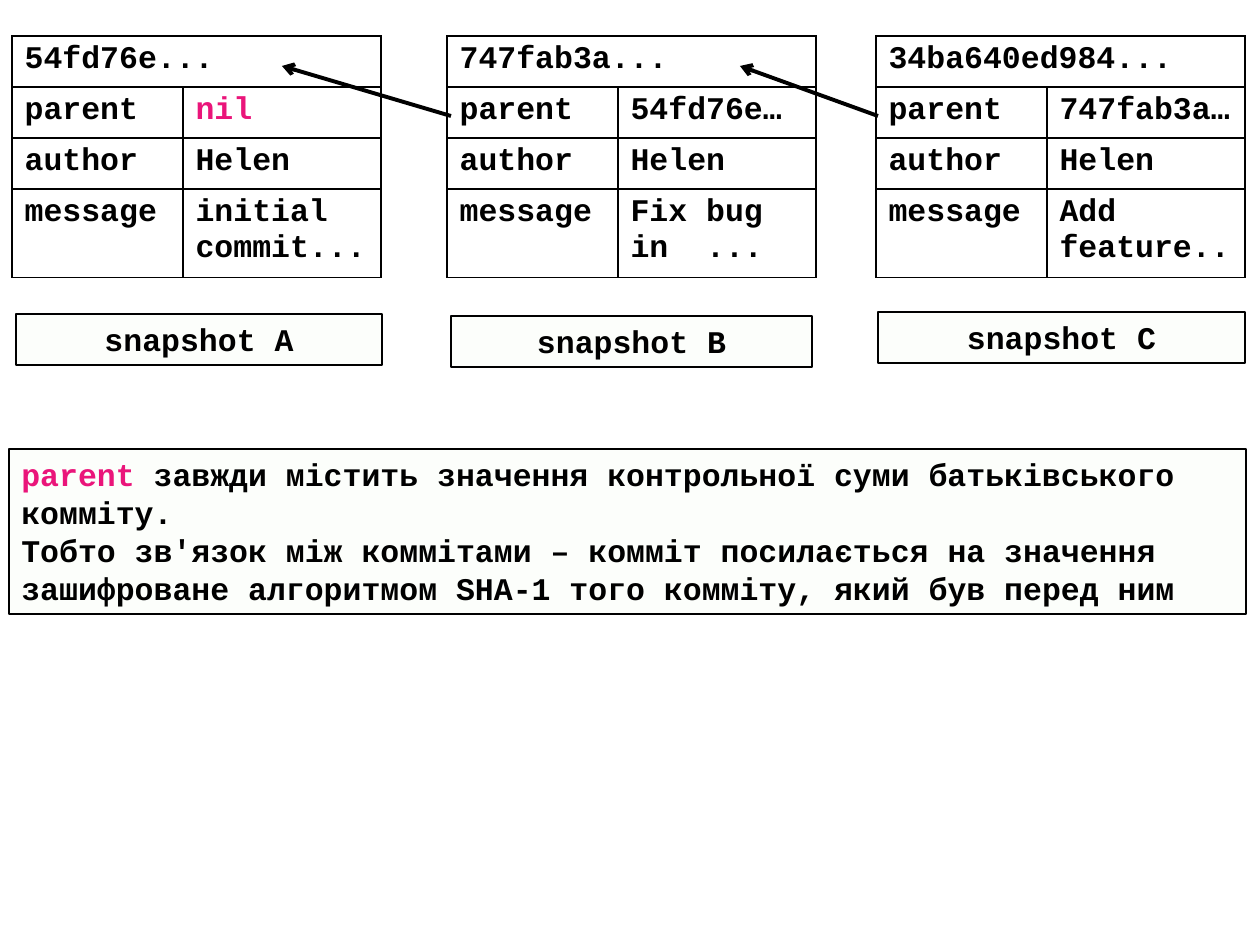
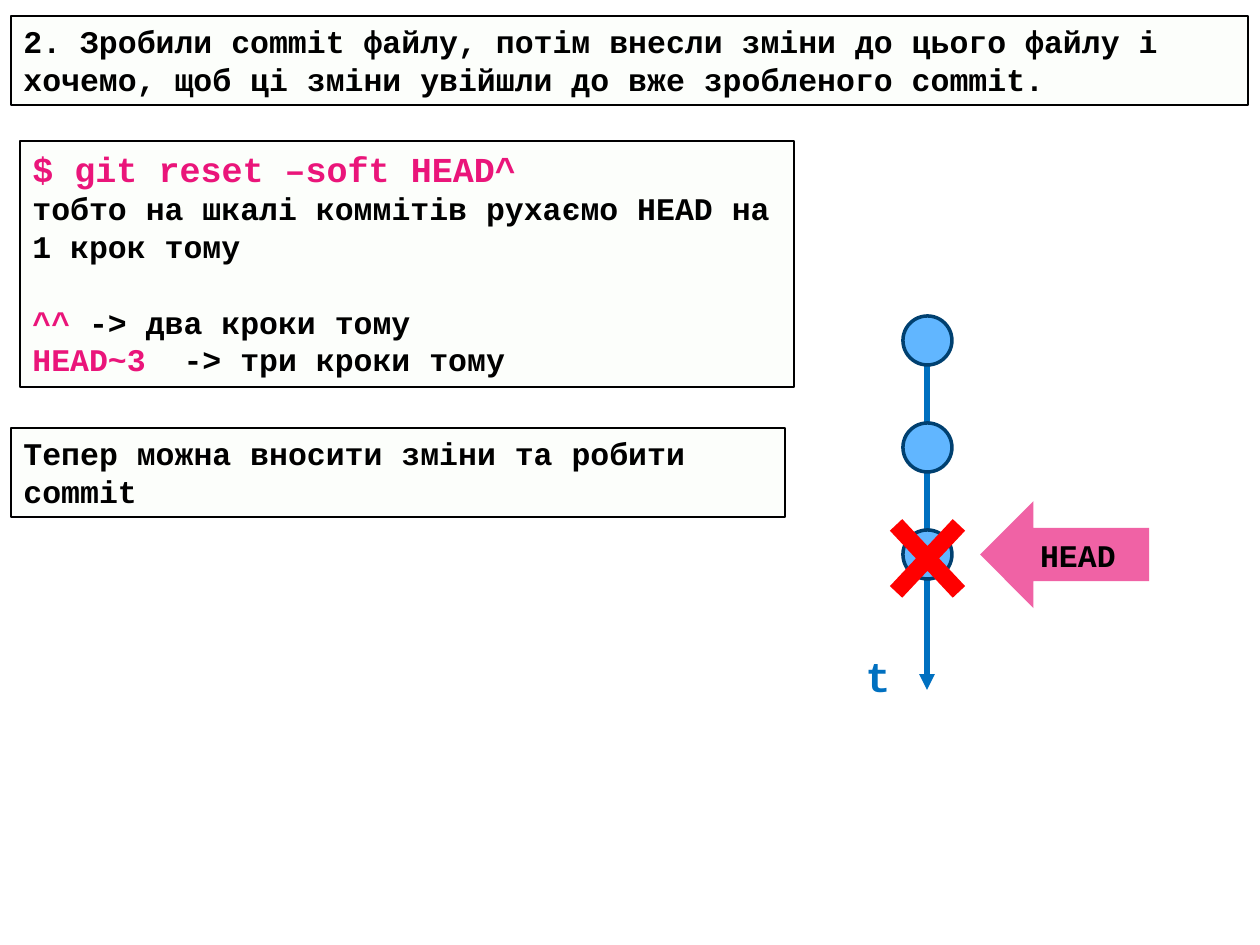
from lxml.etree import SubElement
from pptx import Presentation
from pptx.dml.color import RGBColor
from pptx.enum.shapes import MSO_CONNECTOR, MSO_SHAPE
from pptx.enum.text import MSO_ANCHOR, MSO_AUTO_SIZE, PP_ALIGN
from pptx.oxml.ns import qn
from pptx.util import Emu, Pt

PX_PER_INCH = 126
FONT = "Courier New"
BLACK, PINK, BLUE = "000000", "EA157A", "0070C0"
PANEL_TINT = "E5F6D8"
COMMIT_FILL, COMMIT_EDGE = "61B6FF", "004070"
CROSS_RED = "FF0000"
BODY_SIZE = 18

TABLE_TOP = 36
TABLE_COLUMNS = (171, 198)
TABLE_ROWS = (51, 51, 51, 88)

# table left, snapshot box (left, top, width), snapshot name, hash, parent, message
COMMITS = [
    (12, (16, 314, 366), "A", "54fd76e...", "nil", "initial commit..."),
    (447, (451, 316, 361), "B", "747fab3a...", "54fd76e…", "Fix bug in  ..."),
    (876, (878, 312, 367), "C", "34ba640ed984...", "747fab3a…", "Add feature.."),
]

TIMELINE_X = 927
COMMIT_DIAMETER = 49
COMMIT_TOP, COMMIT_STEP = 316, 107


def px(length):
    return Emu(round(length * 914400 / PX_PER_INCH))


def box_px(*lengths):
    return [px(length) for length in lengths]


def rgb(hex_color):
    return RGBColor.from_string(hex_color)


def style_run(run, color=BLACK, size=BODY_SIZE):
    run.font.name = FONT
    run.font.size = Pt(size)
    run.font.bold = True
    run.font.color.rgb = rgb(color)


def write_lines(frame, lines, align=PP_ALIGN.LEFT):
    """Write one paragraph per line; a line is a list of (text, colour, size) parts."""
    for number, parts in enumerate(lines):
        paragraph = frame.add_paragraph() if number else frame.paragraphs[0]
        paragraph.alignment = align
        for text, *look in parts:
            run = paragraph.add_run()
            run.text = text
            style_run(run, *look)


def set_fill(shape, color, opacity=100):
    shape.fill.solid()
    shape.fill.fore_color.rgb = rgb(color)
    if opacity < 100:
        color_node = shape.fill._xPr.find(qn("a:solidFill"))[0]
        SubElement(color_node, qn("a:alpha"), val=str(opacity * 1000))


def add_figure(slide, preset, box, color, opacity=100, edge=None, edge_width=1.5):
    figure = slide.shapes.add_shape(preset, *box_px(*box))
    figure.shadow.inherit = False
    set_fill(figure, color, opacity)
    if edge:
        figure.line.color.rgb = rgb(edge)
        figure.line.width = Pt(edge_width)
    else:
        figure.line.fill.background()
    return figure


def add_panel(slide, box, lines, align=PP_ALIGN.LEFT):
    panel = add_figure(slide, MSO_SHAPE.RECTANGLE, box, PANEL_TINT, 8, BLACK)
    frame = panel.text_frame
    frame.word_wrap = True
    frame.auto_size = MSO_AUTO_SIZE.SHAPE_TO_FIT_TEXT
    frame.vertical_anchor = MSO_ANCHOR.TOP
    write_lines(frame, lines, align)
    return panel


def add_line(slide, start, end, color, width, arrowhead=None):
    line = slide.shapes.add_connector(MSO_CONNECTOR.STRAIGHT, *box_px(*start, *end))
    line.line.color.rgb = rgb(color)
    line.line.width = Pt(width)
    if arrowhead:
        SubElement(line.line._get_or_add_ln(), qn("a:tailEnd"), type=arrowhead)
    SubElement(line._element.spPr, qn("a:effectLst"))


def border_cell(cell):
    properties = cell._tc.get_or_add_tcPr()
    for position, side in enumerate(("a:lnL", "a:lnR", "a:lnT", "a:lnB")):
        border = SubElement(properties, qn(side), w=str(Pt(1)))
        fill = SubElement(border, qn("a:solidFill"))
        SubElement(fill, qn("a:srgbClr"), val=BLACK)
        properties.insert(position, border)


def add_commit_table(slide, left, commit_hash, parent, message):
    rows = [(commit_hash, ""), ("parent", parent), ("author", "Helen"), ("message", message)]
    box = box_px(left, TABLE_TOP, sum(TABLE_COLUMNS), sum(TABLE_ROWS))
    table = slide.shapes.add_table(len(rows), len(TABLE_COLUMNS), *box).table
    table.first_row = table.horz_banding = False
    for column, width in zip(table.columns, TABLE_COLUMNS):
        column.width = px(width)
    for row, height, texts in zip(table.rows, TABLE_ROWS, rows):
        row.height = px(height)
        for cell, text in zip(row.cells, texts):
            cell.fill.background()
            border_cell(cell)
            if text:
                write_lines(cell.text_frame, [[(text, PINK if text == "nil" else BLACK)]])
    table.cell(0, 0).merge(table.cell(0, 1))


def build_parent_slide(slide):
    for _, (left, top, width), name, *_ in COMMITS:
        add_panel(slide, (left, top, width, 51), [[(f"snapshot {name}",)]], PP_ALIGN.CENTER)
    for left, _, _, *details in COMMITS:
        add_commit_table(slide, left, *details)
    for child_x, parent_x in ((451, 282), (878, 740)):
        add_line(slide, (child_x, 116), (parent_x, 66), BLACK, 2.25, "arrow")
    add_panel(slide, (9, 449, 1237, 165), [
        [("parent ", PINK),
         ("завжди містить значення контрольної суми батьківського комміту.",)],
        [("Тобто зв'язок між коммітами – комміт посилається на значення "
          "зашифроване алгоритмом SHA-1 того комміту, який був перед ним",)],
    ])


def add_timeline(slide):
    add_line(slide, (TIMELINE_X, 324), (TIMELINE_X, 651), BLUE, 3)
    for step in range(3):
        box = (903, COMMIT_TOP + step * COMMIT_STEP, COMMIT_DIAMETER, COMMIT_DIAMETER)
        add_figure(slide, MSO_SHAPE.OVAL, box, COMMIT_FILL, edge=COMMIT_EDGE, edge_width=2)

    head = add_figure(slide, MSO_SHAPE.LEFT_ARROW, (980, 501, 169, 107), PINK, 67)
    head.text_frame.vertical_anchor = MSO_ANCHOR.MIDDLE
    write_lines(head.text_frame, [[("HEAD",)]], PP_ALIGN.CENTER)

    cross = add_figure(slide, MSO_SHAPE.MATH_MULTIPLY, (867, 494, 121, 129), CROSS_RED)
    cross.adjustments[0] = 0.14

    time_label = slide.shapes.add_textbox(*box_px(853, 644, 50, 63)).text_frame
    time_label.word_wrap = False
    time_label.auto_size = MSO_AUTO_SIZE.SHAPE_TO_FIT_TEXT
    write_lines(time_label, [[("t", BLUE, 24)]])
    add_line(slide, (TIMELINE_X, 650), (TIMELINE_X, 690), BLUE, 3, "triangle")


def build_reset_slide(slide):
    add_panel(slide, (11, 16, 1237, 89), [
        [("2. Зробили commit файлу, потім внесли зміни до цього файлу і "
          "хочемо, щоб ці зміни увійшли до вже зробленого commit.",)],
    ])
    commands = add_panel(slide, (20, 141, 774, 246), [
        [("$ git reset –soft HEAD^", PINK, 20)],
        [("тобто на шкалі коммітів рухаємо HEAD на 1 крок тому",)],
        [("^^ ", PINK), ("-> два кроки тому",)],
        [("HEAD~3", PINK), ("  -> три кроки тому",)],
    ])
    commands.text_frame.paragraphs[2].space_before = Pt(21.6)
    add_panel(slide, (11, 428, 774, 89), [
        [("Тепер можна вносити зміни та робити",)],
        [("commit",)],
    ])
    add_timeline(slide)


def main():
    deck = Presentation()
    deck.slide_width, deck.slide_height = box_px(1260, 945)
    for build in (build_parent_slide, build_reset_slide):
        build(deck.slides.add_slide(deck.slide_layouts[6]))
    deck.save("out.pptx")


if __name__ == "__main__":
    main()
